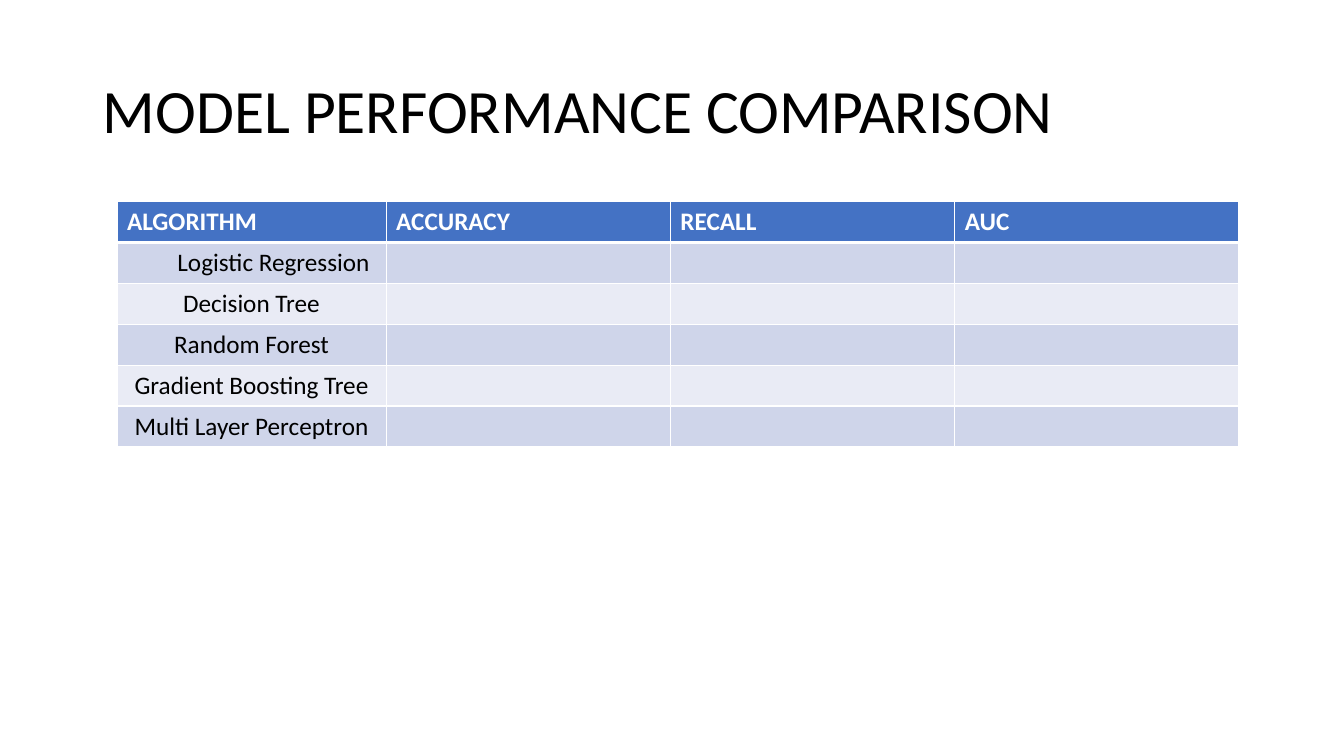
from dataclasses import dataclass

from lxml import etree
from pptx import Presentation
from pptx.dml.color import RGBColor
from pptx.enum.text import MSO_ANCHOR, MSO_AUTO_SIZE, PP_ALIGN
from pptx.oxml.ns import qn
from pptx.util import Inches, Pt

LEFT, CENTER = PP_ALIGN.LEFT, PP_ALIGN.CENTER
MIDDLE = MSO_ANCHOR.MIDDLE
NO_AUTOFIT = MSO_AUTO_SIZE.NONE
TITLE_ONLY = 5

FONT = "Calibri"
BLACK, WHITE = "000000", "FFFFFF"
HEADER_FILL = "4472C4"
BAND_FILLS = ("CFD5EA", "E9EBF5")
THIN, THICK = 1, 3

HEADINGS = ("ALGORITHM", "ACCURACY", "RECALL", "AUC")
COLUMN_WIDTHS = (2.67, 2.82, 2.82, 2.82)
ROW_HEIGHT = 0.405


@dataclass(frozen=True)
class Algorithm:
    name: str
    align: PP_ALIGN = CENTER
    level: int = 0


ALGORITHMS = (
    Algorithm("Logistic Regression", align=LEFT, level=1),
    Algorithm("Decision Tree"),
    Algorithm("Random Forest"),
    Algorithm("Gradient Boosting Tree"),
    Algorithm("Multi Layer Perceptron"),
)


def colour(value: str) -> RGBColor:
    return RGBColor.from_string(value)


def write(frame, text: str, *, size: float = 18, color: str = BLACK,
          bold: bool = False, align: PP_ALIGN = LEFT, level: int = 0,
          line_spacing: float = 1.0) -> None:
    para = frame.paragraphs[0]
    para.alignment = align
    para.line_spacing = line_spacing
    if level:
        para.level = level
        properties = para._p.get_or_add_pPr()
        properties.set("marL", str(Inches(0.5 * level)))
        properties.set("indent", "0")
    span = para.add_run()
    span.text = text
    span.font.name = FONT
    span.font.size = Pt(size)
    span.font.bold = bold
    span.font.color.rgb = colour(color)


def style_cell(cell, fill: str, top: float = THIN, bottom: float = THIN) -> None:
    """Give a cell white borders, widths in points, and a solid fill."""
    properties = cell._tc.get_or_add_tcPr()
    for side, width in (("L", THIN), ("R", THIN), ("T", top), ("B", bottom)):
        line = etree.SubElement(properties, qn(f"a:ln{side}"), w=str(Pt(width)))
        solid = etree.SubElement(line, qn("a:solidFill"))
        etree.SubElement(solid, qn("a:srgbClr"), val=WHITE)
    cell.fill.solid()
    cell.fill.fore_color.rgb = colour(fill)


def add_title(page, text: str) -> None:
    title = page.shapes.title
    title.left, title.top = Inches(0.92), Inches(0.4)
    title.width, title.height = Inches(11.5), Inches(1.45)
    frame = title.text_frame
    frame.word_wrap = True
    frame.auto_size = NO_AUTOFIT
    frame.vertical_anchor = MIDDLE
    write(frame, text, size=44, line_spacing=0.9)


def add_comparison_table(page) -> None:
    row_count = len(ALGORITHMS) + 1
    table = page.shapes.add_table(
        row_count, len(HEADINGS), Inches(1.16), Inches(2),
        Inches(sum(COLUMN_WIDTHS)), Inches(ROW_HEIGHT * row_count)).table
    for column, width in zip(table.columns, COLUMN_WIDTHS):
        column.width = Inches(width)

    for index, heading in enumerate(HEADINGS):
        cell = table.cell(0, index)
        style_cell(cell, HEADER_FILL, bottom=THICK)
        write(cell.text_frame, heading, color=WHITE, bold=True)

    for row, algorithm in enumerate(ALGORITHMS, start=1):
        for index in range(len(HEADINGS)):
            style_cell(table.cell(row, index), BAND_FILLS[(row - 1) % 2],
                       top=THICK if row == 1 else THIN)
        write(table.cell(row, 0).text_frame, algorithm.name,
              align=algorithm.align, level=algorithm.level)


def main() -> None:
    deck = Presentation()
    deck.slide_width, deck.slide_height = Inches(13.33), Inches(7.5)
    page = deck.slides.add_slide(deck.slide_layouts[TITLE_ONLY])
    add_title(page, "MODEL PERFORMANCE COMPARISON")
    add_comparison_table(page)
    deck.save("out.pptx")


if __name__ == "__main__":
    main()
